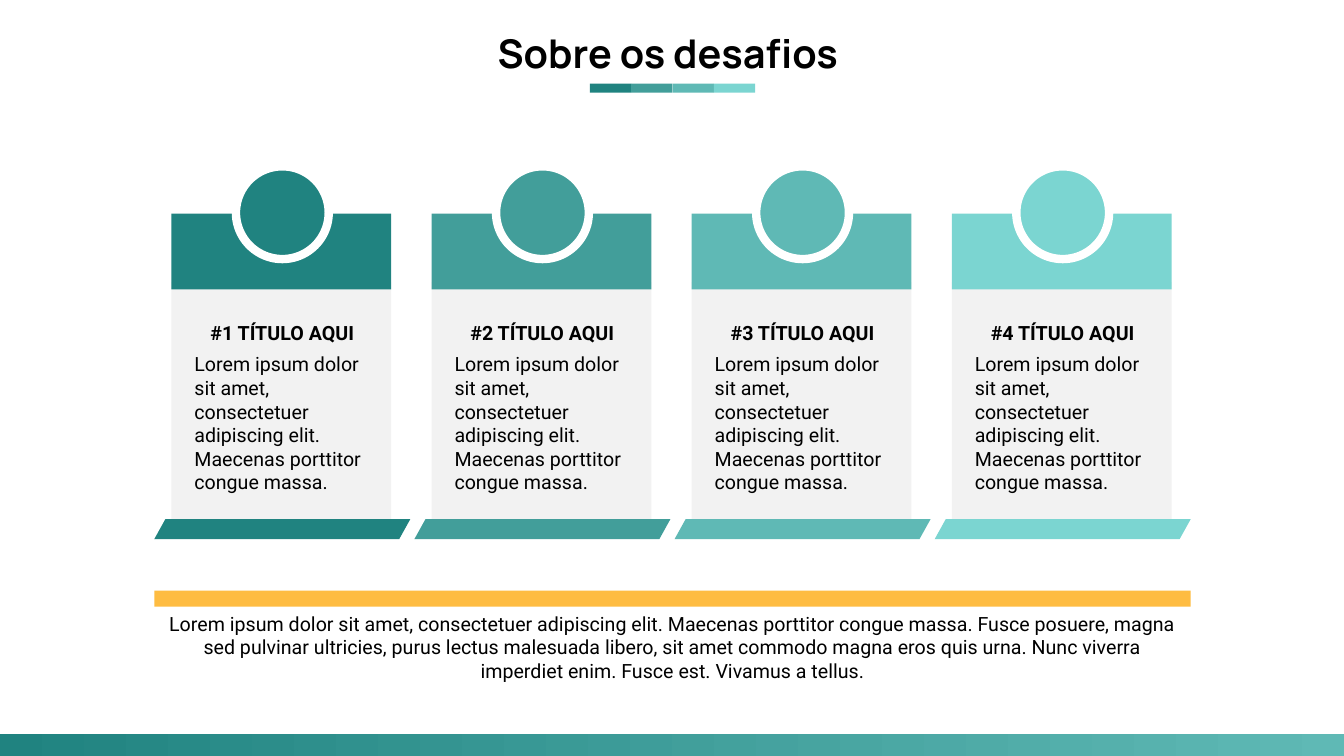
from pptx import Presentation
from pptx.dml.color import RGBColor
from pptx.enum import shapes, text
from pptx.util import Inches, Pt

COLORS = {
    "teals": ["208380", "429E9A", "5FB9B5", "7BD5D1"],
    "amber": "FEBC42",
    "card": "F2F2F2",
    "white": "FFFFFF",
    "black": "000000",
}
LOREM = "Lorem ipsum dolor sit amet, consectetuer adipiscing elit. Maecenas porttitor congue massa."
SUMMARY = LOREM + (
    " Fusce posuere, magna sed pulvinar ultricies, purus lectus malesuada libero, "
    "sit amet commodo magna eros quis urna. Nunc viverra imperdiet enim. "
    "Fusce est. Vivamus a tellus."
)
LEFT, CENTER = text.PP_ALIGN.LEFT, text.PP_ALIGN.CENTER
RECTANGLE = shapes.MSO_SHAPE.RECTANGLE


def add_block(parent, kind, box, color):
    block = parent.add_shape(kind, *map(Inches, box))
    block.shadow.inherit = False
    block.fill.solid()
    block.fill.fore_color.rgb = RGBColor.from_string(color)
    block.line.fill.background()
    return block


def write(frame, lines):
    frame.word_wrap = True
    for index, (words, align, style) in enumerate(lines):
        paragraph = frame.paragraphs[0] if index == 0 else frame.add_paragraph()
        paragraph.text = words
        paragraph.alignment = align
        if index:
            paragraph.space_before = Pt(6)
        font = paragraph.runs[0].font
        for key, value in {"name": "Roboto", "size": Pt(14), "bold": False, **style}.items():
            setattr(font, key, value)
        font.color.rgb = RGBColor.from_string(COLORS["black"])


deck = Presentation()
deck.slide_width, deck.slide_height = Inches(13.33), Inches(7.5)
slide = deck.slides.add_slide(deck.slide_layouts[5])

heading = slide.shapes.title
heading.left, heading.top, heading.width, heading.height = map(Inches, (1.6, 0.29, 10.05, 0.53))
heading.text_frame.auto_size = text.MSO_AUTO_SIZE.NONE
heading.text_frame.vertical_anchor = text.MSO_ANCHOR.MIDDLE
write(heading.text_frame, [
    ("Sobre os desafios", CENTER, {"name": "Manrope", "size": Pt(28.3), "bold": True}),
])
heading.text_frame.paragraphs[0].line_spacing = 0.9

underline = slide.shapes.add_group_shape().shapes
for index, teal in enumerate(COLORS["teals"]):
    add_block(underline, RECTANGLE, (5.85 + 0.41 * index, 0.83, 0.41, 0.09), teal)

footer = add_block(slide.shapes, RECTANGLE, (0, 7.28, 13.33, 0.22), COLORS["teals"][0])
footer.fill.gradient()
footer.fill.gradient_angle = 0
for stop, teal in zip(footer.fill.gradient_stops, COLORS["teals"][::2]):
    stop.color.rgb = RGBColor.from_string(teal)

summary = slide.shapes.add_textbox(*map(Inches, (1.53, 6.02, 10.28, 0.81)))
write(summary.text_frame, [(SUMMARY, CENTER, {})])
add_block(slide.shapes, RECTANGLE, (1.53, 5.86, 10.28, 0.16), COLORS["amber"])

for index, teal in enumerate(COLORS["teals"]):
    left = 1.7 + 2.58 * index
    card = slide.shapes.add_group_shape().shapes
    add_block(card, RECTANGLE, (left, 2.8, 2.18, 2.45), COLORS["card"])
    challenge = card.add_textbox(*map(Inches, (left + 0.13, 3.13, 1.94, 1.83)))
    write(challenge.text_frame, [
        (f"#{index + 1} TÍTULO AQUI", CENTER, {"bold": True}),
        (LOREM, LEFT, {}),
    ])
    add_block(card, RECTANGLE, (left, 2.12, 2.18, 0.75), teal)
    base = add_block(card, shapes.MSO_SHAPE.PARALLELOGRAM, (left - 0.17, 5.15, 2.54, 0.2), teal)
    base.adjustments[0] = 0.554
    badge = add_block(card, shapes.MSO_SHAPE.OVAL, (left + 0.64, 1.65, 0.92, 0.92), teal)
    badge.line.color.rgb = RGBColor.from_string(COLORS["white"])
    badge.line.width = Pt(6)

deck.save("out.pptx")
